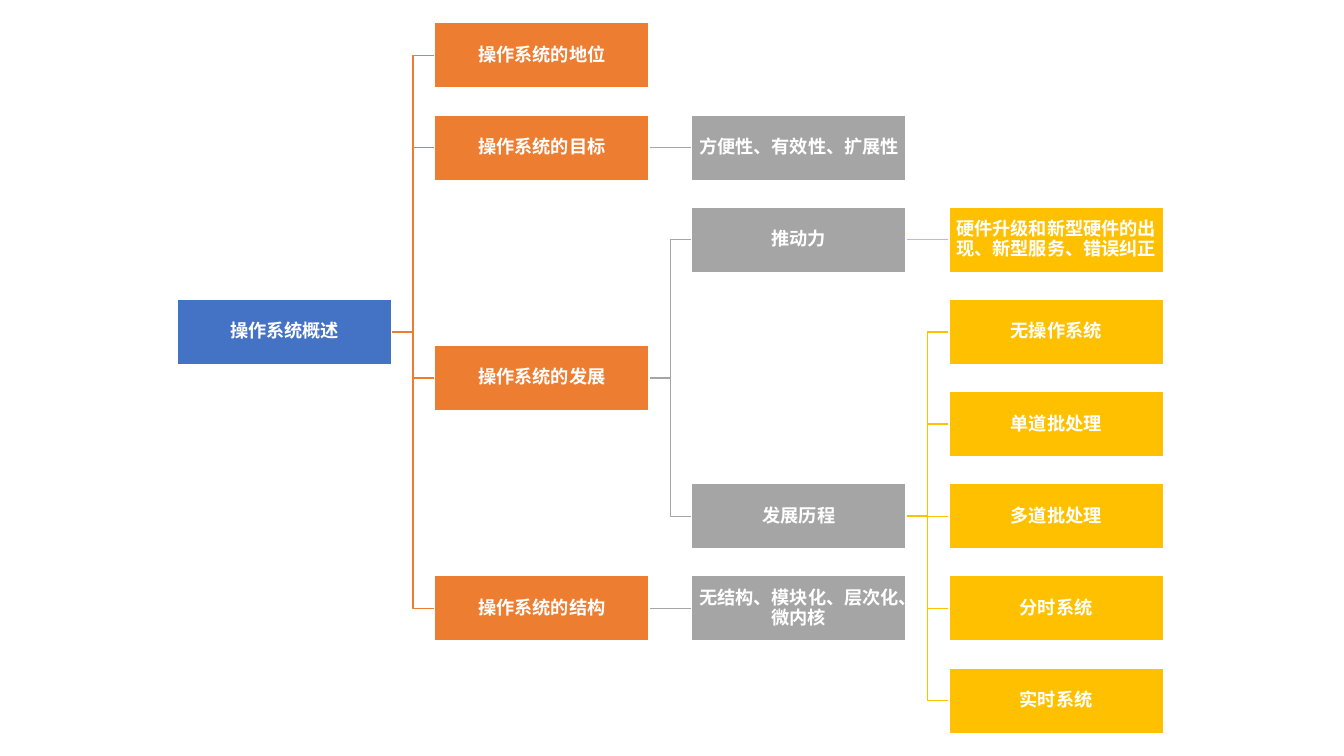
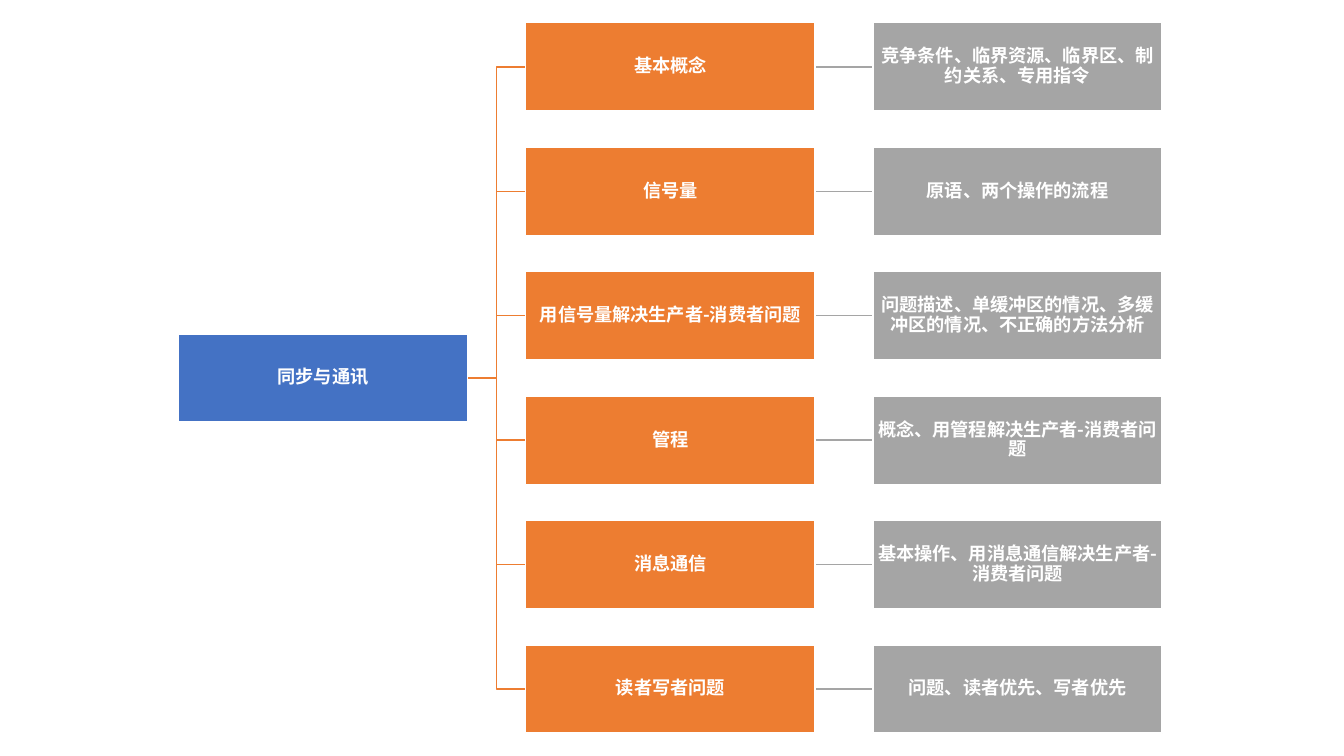
from dataclasses import dataclass, field

from lxml.etree import SubElement
from pptx import Presentation
from pptx.dml.color import RGBColor
from pptx.enum.shapes import MSO_CONNECTOR as Connector, MSO_SHAPE as Shape
from pptx.enum.text import MSO_ANCHOR as Anchor, PP_ALIGN as Align
from pptx.oxml.ns import qn
from pptx.util import Pt

SLIDE_WIDTH, SLIDE_HEIGHT = 960, 540
RIGHT_SITE, LEFT_SITE = 3, 1

OVERVIEW = ("操作系统概述", [
    ("操作系统的地位", []),
    ("操作系统的目标", [("方便性、有效性、扩展性", [])]),
    ("操作系统的发展", [
        ("推动力", [("硬件升级和新型硬件的出现、新型服务、错误纠正", [])]),
        ("发展历程", [
            ("无操作系统", []),
            ("单道批处理", []),
            ("多道批处理", []),
            ("分时系统", []),
            ("实时系统", []),
        ]),
    ]),
    ("操作系统的结构", [("无结构、模块化、层次化、微内核", [])]),
])

SYNCHRONIZATION = ("同步与通讯", [
    ("基本概念", [("竞争条件、临界资源、临界区、制约关系、专用指令", [])]),
    ("信号量", [("原语、两个操作的流程", [])]),
    ("用信号量解决生产者-消费者问题",
     [("问题描述、单缓冲区的情况、多缓冲区的情况、不正确的方法分析", [])]),
    ("管程", [("概念、用管程解决生产者-消费者问题", [])]),
    ("消息通信", [("基本操作、用消息通信解决生产者-消费者问题", [])]),
    ("读者写者问题", [("问题、读者优先、写者优先", [])]),
])


def color(hex_text):
    return RGBColor.from_string(hex_text)


@dataclass
class Node:
    text: str
    depth: int
    row: float = 0
    children: list = field(default_factory=list)

    def walk(self):
        yield self
        for child in self.children:
            yield from child.walk()


def arrange(branch, free_rows, depth=0, floor=0):
    """Put leaves on the next free row of their column, parents midway between children."""
    text, children = branch
    node = Node(text, depth)
    start = max(floor, free_rows.get(depth, 0))
    node.children = [arrange(child, free_rows, depth + 1, start) for child in children]
    if node.children:
        node.row = (node.children[0].row + node.children[-1].row) / 2
    else:
        node.row = start
    free_rows[depth] = node.row + 1
    return node


class TreeDeck:
    FONT, FONT_SIZE = "Noto Sans CJK SC", 13
    LEVEL_COLORS = ("4472C4", "ED7D31", "A5A5A5", "FFC000")
    WHITE = "FFFFFF"
    LINE_WIDTH, INSET = 1, 0.65
    CENTER = 478.8
    # Box height and steps between boxes, as shares of the box width
    HEIGHT, COLUMN_STEP, ROW_STEP = 0.305, 1.2, 0.43

    def __init__(self):
        self.deck = Presentation()
        self.deck.slide_width, self.deck.slide_height = Pt(SLIDE_WIDTH), Pt(SLIDE_HEIGHT)
        self.slide = None

    def new_slide(self):
        self.slide = self.deck.slides.add_slide(self.deck.slide_layouts[6])

    def box(self, text, left, top, width, fill):
        box = self.slide.shapes.add_shape(
            Shape.RECTANGLE, Pt(left), Pt(top), Pt(width), Pt(width * self.HEIGHT))
        box.shadow.inherit = False
        box.fill.solid()
        box.fill.fore_color.rgb = color(fill)
        box.line.color.rgb = color(self.WHITE)
        box.line.width = Pt(self.LINE_WIDTH)
        frame = box.text_frame
        frame.word_wrap = True
        frame.vertical_anchor = Anchor.MIDDLE
        frame.margin_left = frame.margin_right = Pt(self.INSET)
        frame.margin_top = frame.margin_bottom = Pt(self.INSET)
        para = frame.paragraphs[0]
        para.text = text
        para.alignment = Align.CENTER
        para.line_spacing = 0.9
        font = para.font
        font.size, font.bold, font.name = Pt(self.FONT_SIZE), True, self.FONT
        font.color.rgb = color(self.WHITE)
        for properties in box.element.iter(qn("a:defRPr")):
            SubElement(properties, qn("a:ea")).set("typeface", self.FONT)
        return box

    def link(self, kind, line_color):
        link = self.slide.shapes.add_connector(kind, 0, 0, 0, 0)
        link.line.color.rgb = color(line_color)
        link.line.width = Pt(self.LINE_WIDTH)
        SubElement(link.element.spPr, qn("a:effectLst"))
        return link

    def tree(self, branch, box_width):
        """Draw the links behind the boxes, then glue them to the boxes."""
        self.new_slide()
        root = arrange(branch, {})
        nodes = list(root.walk())
        last_depth = max(node.depth for node in nodes)
        last_row = max(node.row for node in nodes)
        left = self.CENTER - box_width * (last_depth * self.COLUMN_STEP + 1) / 2
        top = (SLIDE_HEIGHT - box_width * (last_row * self.ROW_STEP + self.HEIGHT)) / 2

        links = []
        for parent in nodes:
            for child in parent.children:
                kind = Connector.STRAIGHT if child.row == parent.row else Connector.ELBOW
                link = self.link(kind, self.LEVEL_COLORS[child.depth])
                links.append((link, parent, child))

        boxes = {}
        for node in nodes:
            boxes[id(node)] = self.box(
                node.text,
                left + node.depth * box_width * self.COLUMN_STEP,
                top + node.row * box_width * self.ROW_STEP,
                box_width, self.LEVEL_COLORS[node.depth])

        for link, parent, child in links:
            link.begin_connect(boxes[id(parent)], RIGHT_SITE)
            link.end_connect(boxes[id(child)], LEFT_SITE)


def main():
    style = TreeDeck()
    style.tree(OVERVIEW, box_width=153.1)
    style.tree(SYNCHRONIZATION, box_width=206.7)
    style.deck.save("out.pptx")


if __name__ == "__main__":
    main()
